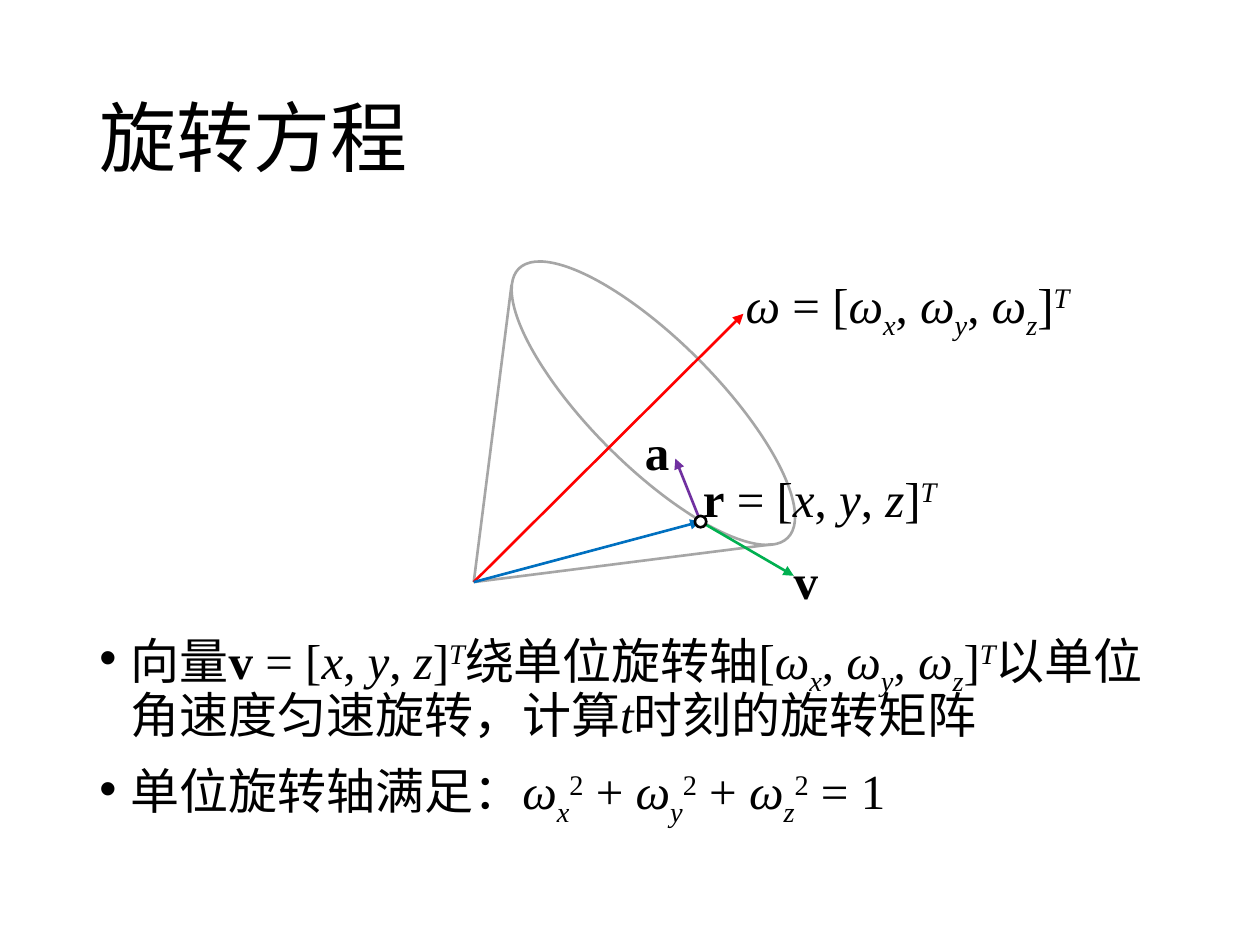
from lxml.etree import SubElement
from pptx import Presentation
from pptx.dml.color import RGBColor
from pptx.enum.shapes import MSO_CONNECTOR, MSO_SHAPE
from pptx.enum.text import MSO_ANCHOR, PP_ALIGN
from pptx.oxml.ns import qn
from pptx.util import Inches, Pt

BLACK = RGBColor(0x00, 0x00, 0x00)
WHITE = RGBColor(0xFF, 0xFF, 0xFF)
GRAY = RGBColor(0xA6, 0xA6, 0xA6)
RED = RGBColor(0xFF, 0x00, 0x00)
BLUE = RGBColor(0x00, 0x70, 0xC0)
GREEN = RGBColor(0x00, 0xB0, 0x50)
PURPLE = RGBColor(0x70, 0x30, 0xA0)
LATIN_FONT = "Times New Roman"
CHINESE_FONT = "Noto Sans CJK SC"

# Run styles: font attributes and baseline shift
STYLES = {
    "plain": ({}, None),
    "bold": ({"bold": True}, None),
    "italic": ({"italic": True}, None),
    "sub": ({"italic": True}, "-25000"),
    "sup": ({"italic": True}, "30000"),
    "power": ({}, "30000"),
}


def omega(axis):
    return [("ω", "italic"), (axis, "sub")]


def vector(components):
    """Runs of a transposed row vector."""
    runs = [("[", "plain")]
    for index, component in enumerate(components):
        runs += ([(", ", "plain")] if index else []) + component
    return runs + [("]", "plain"), ("T", "sup")]


# Content
TITLE = "旋转方程"
POSITION = vector([[(axis, "italic")] for axis in "xyz"])
AXIS = vector([omega(axis) for axis in "xyz"])
EQUALS = [(" = ", "plain")]
SQUARES = []
for name in "xyz":
    SQUARES += omega(name) + [("2", "power"), (" = 1" if name == "z" else " + ", "plain")]
BULLETS = [
    [("向量", "plain"), ("v", "bold")] + EQUALS + POSITION
    + [("绕单位旋转轴", "plain")] + AXIS
    + [("以单位角速度匀速旋转，计算", "plain"), ("t", "italic"), ("时刻的旋转矩阵", "plain")],
    [("单位旋转轴满足：", "plain")] + SQUARES,
]
LABELS = [
    ((5.82, 2.13, 2.96, 0.57), [("ω", "italic")] + EQUALS + AXIS),
    ((5.48, 3.67, 2.09, 0.57), [("r", "bold")] + EQUALS + POSITION),
    ((6.2, 4.32, 0.4, 0.57), [("v", "bold")]),
    ((5.02, 3.3, 0.4, 0.57), [("a", "bold")]),
]

# Diagram geometry
APEX, POINT = (3.76, 4.62), (5.56, 4.14)
CONE_CENTER, CONE_SIZE, CONE_ANGLE = (5.185, 3.2), (3.02, 1.0), 45
LINES = [
    (APEX, (6.13, 4.32), GRAY, False),
    (APEX, (4.06, 2.26), GRAY, False),
    (APEX, (5.9, 2.49), RED, True),
    (APEX, POINT, BLUE, True),
    (POINT, (6.3, 4.57), GREEN, True),
    (POINT, (5.36, 3.64), PURPLE, True),
]
SPIN_CURVES = [
    [(4.93, 3.07), (4.98, 3.17), (5.08, 3.28), (5.18, 3.37)],
    [(5.18, 3.37), (5.29, 3.45), (5.39, 3.5), (5.44, 3.48)],
    [(5.44, 3.48), (5.48, 3.46), (5.48, 3.39), (5.41, 3.28)],
]
CURVE_STEPS = 12


def write_runs(paragraph, runs):
    for text, style in runs:
        attributes, baseline = STYLES[style]
        run = paragraph.add_run()
        run.text = text
        values = {"size": Pt(28), "name": LATIN_FONT, **attributes}
        for attribute, value in values.items():
            setattr(run.font, attribute, value)
        run.font.color.rgb = BLACK
        properties = run.font._element
        SubElement(properties, qn("a:ea"), typeface=CHINESE_FONT)
        if baseline:
            properties.set("baseline", baseline)


def format_line(shape, color, arrow=False):
    shape.line.color.rgb = color
    shape.line.width = Pt(1.5)
    if arrow:
        SubElement(shape.line._get_or_add_ln(), qn("a:tailEnd"), type="triangle")


def add_oval(slide, center, size, color):
    left, top = (middle - length / 2 for middle, length in zip(center, size))
    shape = slide.shapes.add_shape(
        MSO_SHAPE.OVAL, *(Inches(value) for value in (left, top, *size)))
    shape.shadow.inherit = False
    format_line(shape, color)
    return shape


def curve_points(curve):
    """Points along a cubic curve, without its start."""
    for step in range(1, CURVE_STEPS + 1):
        t = step / CURVE_STEPS
        weights = ((1 - t) ** 3, 3 * t * (1 - t) ** 2, 3 * t * t * (1 - t), t ** 3)
        yield tuple(sum(weight * point[axis] for weight, point in zip(weights, curve))
                    for axis in (0, 1))


presentation = Presentation()
presentation.slide_width, presentation.slide_height = Inches(10), Inches(7.5)
slide = presentation.slides.add_slide(presentation.slide_layouts[5])

# Title
title = slide.shapes.title
title.left, title.top, title.width, title.height = map(Inches, (0.69, 0.4, 8.62, 1.45))
title.text_frame.text = TITLE
title.text_frame.vertical_anchor = MSO_ANCHOR.MIDDLE
paragraph = title.text_frame.paragraphs[0]
paragraph.alignment, paragraph.line_spacing = PP_ALIGN.LEFT, 0.9
font = paragraph.runs[0].font
font.size, font.name, font.color.rgb = Pt(44), CHINESE_FONT, BLACK
SubElement(font._element, qn("a:ea"), typeface=CHINESE_FONT)

# Bullets
body = slide.shapes.add_textbox(*map(Inches, (0.69, 4.96, 8.62, 1.79))).text_frame
body.word_wrap = True
for index, runs in enumerate(BULLETS):
    paragraph = body.paragraphs[0] if index == 0 else body.add_paragraph()
    paragraph.line_spacing = 0.9
    paragraph.space_before = Pt(10 if index else 0)
    properties = paragraph._p.get_or_add_pPr()
    properties.set("marL", str(Inches(0.25)))
    properties.set("indent", str(Inches(-0.25)))
    SubElement(properties, qn("a:buFont"), typeface="Arial")
    SubElement(properties, qn("a:buChar"), char="•")
    write_runs(paragraph, runs)

# Cone and vectors
cone = add_oval(slide, CONE_CENTER, CONE_SIZE, GRAY)
cone.fill.background()
cone.rotation = CONE_ANGLE
for start, end, color, arrow in LINES:
    connector = slide.shapes.add_connector(
        MSO_CONNECTOR.STRAIGHT, *map(Inches, (*start, *end)))
    format_line(connector, color, arrow)
    SubElement(connector._element.spPr, qn("a:effectLst"))
dot = add_oval(slide, POINT, (0.09, 0.09), BLACK)
dot.fill.solid()
dot.fill.fore_color.rgb = WHITE

# Rotation arrow
builder = slide.shapes.build_freeform(*SPIN_CURVES[0][0], scale=Inches(1))
builder.add_line_segments(
    [point for curve in SPIN_CURVES for point in curve_points(curve)], close=False)
spin = builder.convert_to_shape()
spin.shadow.inherit = False
spin.fill.background()
format_line(spin, BLACK, arrow=True)

# Labels
for bounds, runs in LABELS:
    frame = slide.shapes.add_textbox(*map(Inches, bounds)).text_frame
    frame.word_wrap = False
    write_runs(frame.paragraphs[0], runs)

presentation.save("out.pptx")
